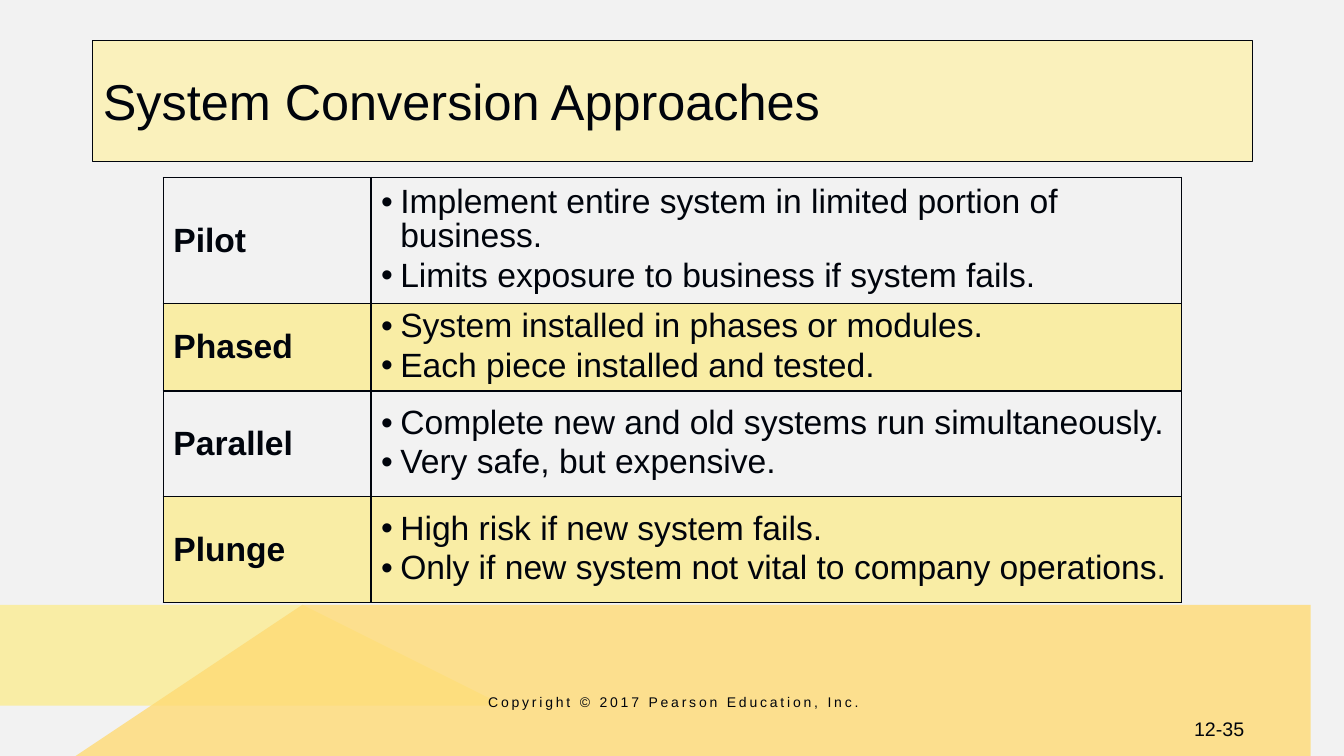
import pptx
import pptx.util
import pptx.oxml
import pptx.oxml.ns
import pptx.dml.color
import pptx.enum.text
import lxml.etree

Inches = pptx.util.Inches
Pt = pptx.util.Pt
ALIGN = pptx.enum.text.PP_ALIGN
ANCHOR = pptx.enum.text.MSO_ANCHOR
HUES = {"ink": "00040C", "back": "F2F2F2", "lemon": "F9EDA5",
        "gold": "FFDB75", "cream": "FAF1BC"}
ROWS = [
    ("Pilot", 1.25, ["Implement entire system in limited portion of business.",
                     "Limits exposure to business if system fails."]),
    ("Phased", 0.87, ["System installed in phases or modules.",
                      "Each piece installed and tested."]),
    ("Parallel", 1.05, ["Complete new and old systems run simultaneously.",
                        "Very safe, but expensive."]),
    ("Plunge", 1.05, ["High risk if new system fails.",
                      "Only if new system not vital to company operations."]),
]


def put(item, **marks):
    for key, value in marks.items():
        setattr(item, key, value)


def hue(name):
    return pptx.dml.color.RGBColor.from_string(HUES[name])


def sub(node, tag, **marks):
    return lxml.etree.SubElement(node, pptx.oxml.ns.qn(tag), **marks)


class Deck:
    def __init__(self, font):
        self.font = font
        self.show = pptx.Presentation()
        put(self.show, slide_width=Inches(13.33), slide_height=Inches(7.5))
        self.slide = self.show.slides.add_slide(self.show.slide_layouts[5])
        self.paint(self.slide.background, "back")

    def paint(self, item, name):
        item.fill.solid()
        item.fill.fore_color.rgb = hue(name)

    def say(self, para, text, size, bold=False, align=ALIGN.LEFT):
        para.alignment = align
        run = para.add_run()
        run.text = text
        put(run.font, name=self.font, size=Pt(size), bold=bold)
        run.font.color.rgb = hue("ink")
        return run

    def title(self, text, *box):
        shape = self.slide.shapes.title
        place = map(Inches, box)
        put(shape, **dict(zip(("left", "top", "width", "height"), place)))
        self.paint(shape, "cream")
        shape.line.color.rgb = hue("ink")
        shape.line.width = Pt(1)
        shape.text_frame.vertical_anchor = ANCHOR.MIDDLE
        self.say(shape.text_frame.paragraphs[0], text, 36)

    def facet(self, points, name, alpha=100):
        start, *rest = points
        form = self.slide.shapes.build_freeform(*start, scale=Inches(1))
        form.add_line_segments(rest, close=True)
        shape = form.convert_to_shape()
        shape.shadow.inherit = False
        self.paint(shape, name)
        shape.line.fill.background()
        if alpha < 100:
            tint = shape.fill._xPr.find(".//" + pptx.oxml.ns.qn("a:srgbClr"))
            sub(tint, "a:alpha", val=str(alpha * 1000))

    def label(self, text, box, size, align, anchor=ANCHOR.TOP, gap=0):
        shape = self.slide.shapes.add_textbox(*map(Inches, box))
        put(shape.text_frame, word_wrap=True, vertical_anchor=anchor)
        run = self.say(shape.text_frame.paragraphs[0], text, size, align=align)
        if gap:
            run.font._element.set("spc", str(gap * 100))

    def bullet(self, para, text):
        props = para._p.get_or_add_pPr()
        indent = Inches(0.19)
        props.set("marL", str(indent))
        props.set("indent", str(-indent))
        sub(props, "a:buFont", typeface=self.font)
        sub(props, "a:buChar", char="•")
        put(para, line_spacing=0.9, space_after=Pt(4))
        self.say(para, text, 24)

    def border(self, cell):
        props = cell._tc.get_or_add_tcPr()
        for spot, side in enumerate("LRTB"):
            line = pptx.oxml.parse_xml(
                f'<a:ln{side} {pptx.oxml.ns.nsdecls("a")} w="12700"><a:solidFill>'
                f'<a:srgbClr val="{HUES["ink"]}"/></a:solidFill></a:ln{side}>')
            props.insert(spot, line)

    def table(self, rows, left, top, widths):
        high = sum(row[1] for row in rows)
        box = map(Inches, (left, top, sum(widths), high))
        grid = self.slide.shapes.add_table(len(rows), len(widths), *box).table
        put(grid, first_row=False, horz_banding=False)
        for column, width in zip(grid.columns, widths):
            column.width = Inches(width)
        for spot, (name, tall, points) in enumerate(rows):
            grid.rows[spot].height = Inches(tall)
            head, body = grid.cell(spot, 0), grid.cell(spot, 1)
            for cell in (head, body):
                cell.vertical_anchor = ANCHOR.MIDDLE
                self.paint(cell, "lemon" if spot % 2 else "back")
                self.border(cell)
            self.say(head.text_frame.paragraphs[0], name, 24, bold=True)
            frame = body.text_frame
            for turn, point in enumerate(points):
                para = frame.add_paragraph() if turn else frame.paragraphs[0]
                self.bullet(para, point)


def main():
    deck = Deck("Arial")
    # Coloured base
    deck.facet([(0, 7.49), (0, 6.1), (2.98, 6.1), (5.21, 7.49)], "lemon")
    deck.facet([(0.08, 7.5), (2.99, 6.1), (13.33, 6.1), (13.33, 7.5)], "gold", 80)
    # Heading and table
    deck.title("System Conversion Approaches", 0.92, 0.4, 11.5, 1.2)
    deck.table(ROWS, 1.62, 1.76, (2.06, 8.04))
    # Footer
    deck.label("Copyright © 2017 Pearson Education, Inc.", (2.18, 6.83, 9, 0.33),
               10, ALIGN.CENTER, gap=2)
    deck.label("12-35", (11.11, 6.83, 1.33, 0.57), 14, ALIGN.RIGHT, ANCHOR.BOTTOM)
    deck.show.save("out.pptx")


if __name__ == "__main__":
    main()
